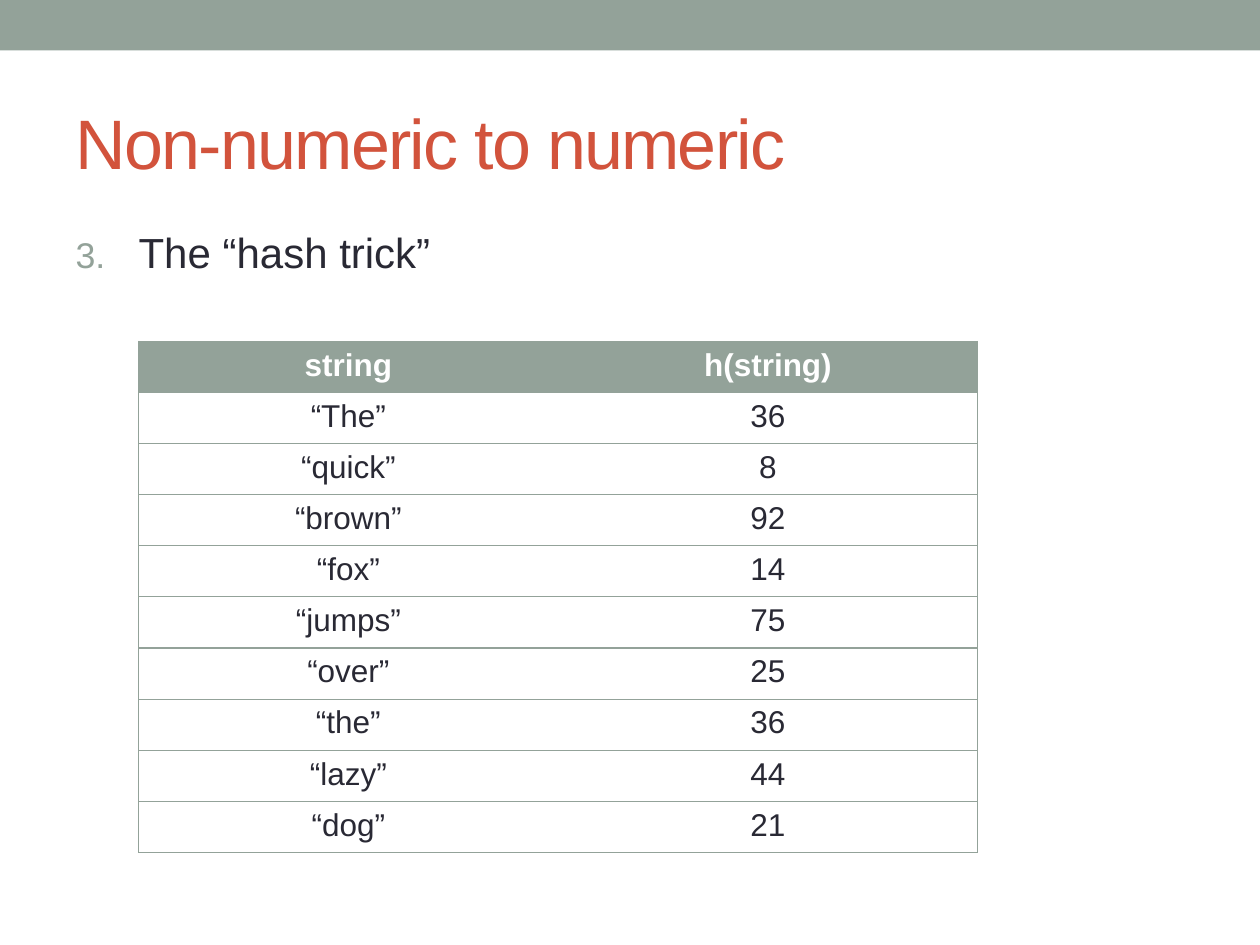
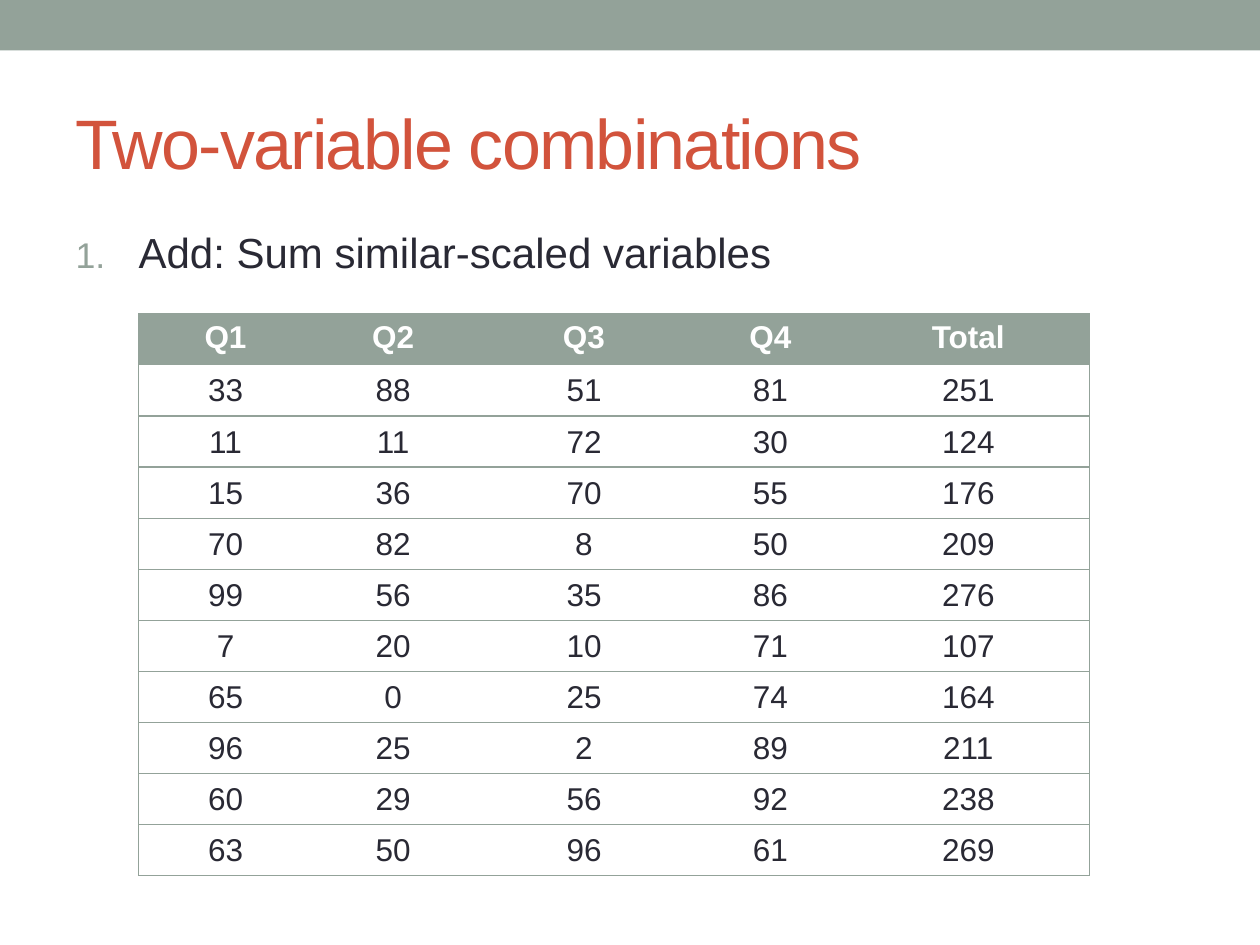
from dataclasses import dataclass

from lxml import etree
from pptx import Presentation
from pptx import util as u
from pptx.dml.color import RGBColor
from pptx.enum import shapes, text
from pptx.oxml import ns

COLORS = {"sage": "93A299", "rust": "D2533C", "ink": "292934", "white": "FFFFFF"}
FONT = "Arial"
NO_STYLE = "{2D5ABB26-0587-4C30-8999-92F81FD0307C}"
WIDTH, HEIGHT = u.Inches(10), u.Inches(7.5)
COLUMN, ROW = WIDTH / 10, HEIGHT / 7.5
TABLE_LEFT = 1.1
LINE_HEIGHT = u.Pt(29.2)
BORDER = u.Pt(0.75)


@dataclass(frozen=True)
class Box:
    left: float
    top: float
    width: float
    height: float

    def emu(self) -> tuple[int, ...]:
        return (round(self.left * COLUMN), round(self.top * ROW),
                round(self.width * COLUMN), round(self.height * ROW))


@dataclass(frozen=True)
class TableSlide:
    title: str
    number: int
    point: str
    top: float
    widths: tuple[float, ...]
    header: tuple[str, ...]
    rows: tuple[tuple, ...]
    tight: bool = False


BAND = Box(0, 0, 10, 0.4)
TITLE = Box(0.5, 0.58, 9, 1.08)
BODY = Box(0.5, 1.75, 9, 0.65)

SLIDES = (
    TableSlide(
        "Non-numeric to numeric", 3, "The “hash trick”", 2.71, (3.33, 3.33),
        ("string", "h(string)"),
        (("“The”", 36), ("“quick”", 8), ("“brown”", 92), ("“fox”", 14),
         ("“jumps”", 75), ("“over”", 25), ("“the”", 36), ("“lazy”", 44),
         ("“dog”", 21)),
    ),
    TableSlide(
        "Two-variable combinations", 1, "Add: Sum similar-scaled variables",
        2.49, (1.38, 1.28, 1.75, 1.21, 1.93),
        ("Q1", "Q2", "Q3", "Q4", "Total"),
        ((33, 88, 51, 81, 251), (11, 11, 72, 30, 124), (15, 36, 70, 55, 176),
         (70, 82, 8, 50, 209), (99, 56, 35, 86, 276), (7, 20, 10, 71, 107),
         (65, 0, 25, 74, 164), (96, 25, 2, 89, 211), (60, 29, 56, 92, 238),
         (63, 50, 96, 61, 269)),
        tight=True,
    ),
)


def rgb(name: str) -> RGBColor:
    return RGBColor.from_string(COLORS[name])


def add_run(p, words: str, size: float, color: str, bold: bool = False):
    r = p.add_run()
    r.text = words
    r.font.name, r.font.size, r.font.bold = FONT, u.Pt(size), bold
    r.font.color.rgb = rgb(color)
    return r


def place(sp, box: Box) -> None:
    sp.left, sp.top, sp.width, sp.height = box.emu()


def style_layout(layout, slide) -> None:
    band = slide.shapes.add_shape(shapes.MSO_SHAPE.RECTANGLE, *BAND.emu())
    band.shadow.inherit = False
    band.fill.solid()
    band.fill.fore_color.rgb = rgb("sage")
    band.line.fill.background()
    layout.shapes.element.insert(2, band.element)
    for sp, box in zip(layout.placeholders, (TITLE, BODY)):
        place(sp, box)


def add_title(slide, words: str) -> None:
    sp = slide.shapes.title
    place(sp, TITLE)
    tf = sp.text_frame
    tf.auto_size = text.MSO_AUTO_SIZE.NONE
    tf.vertical_anchor = text.MSO_ANCHOR.MIDDLE
    p = tf.paragraphs[0]
    p.alignment = text.PP_ALIGN.LEFT
    r = add_run(p, words, 40, "rust")
    r.font._element.set("spc", "-100")


def add_numbered_point(slide, number: int, words: str) -> None:
    sp = slide.placeholders[1]
    place(sp, BODY)
    tf = sp.text_frame
    tf.auto_size = text.MSO_AUTO_SIZE.NONE
    p = tf.paragraphs[0]
    add_run(p, words, 24, "ink")
    pPr = p._p.get_or_add_pPr()
    pPr.set("marL", str(u.Inches(0.5)))
    pPr.set("indent", str(-u.Inches(0.5)))
    before = etree.SubElement(pPr, ns.qn("a:spcBef"))
    etree.SubElement(before, ns.qn("a:spcPct"), val="20000")
    color = etree.SubElement(pPr, ns.qn("a:buClr"))
    etree.SubElement(color, ns.qn("a:srgbClr"), val=COLORS["sage"])
    etree.SubElement(pPr, ns.qn("a:buSzPct"), val="85000")
    etree.SubElement(pPr, ns.qn("a:buFont"), typeface="+mj-lt")
    etree.SubElement(pPr, ns.qn("a:buAutoNum"), type="arabicPeriod",
                     startAt=str(number))


def add_borders(cell, sides: str) -> None:
    tcPr = cell._tc.get_or_add_tcPr()
    for i, side in enumerate(sides):
        ln = etree.Element(ns.qn(f"a:ln{side}"), w=str(BORDER))
        fill = etree.SubElement(ln, ns.qn("a:solidFill"))
        etree.SubElement(fill, ns.qn("a:srgbClr"), val=COLORS["sage"])
        tcPr.insert(i, ln)


def fill_cell(cell, value, is_header: bool, tight: bool) -> None:
    if is_header:
        cell.fill.solid()
        cell.fill.fore_color.rgb = rgb("sage")
    else:
        cell.fill.background()
        if tight:
            cell.vertical_anchor = text.MSO_ANCHOR.MIDDLE
            cell.margin_left = cell.margin_right = cell.margin_top = u.Inches(0.01)
            cell.margin_bottom = 0
    p = cell.text_frame.paragraphs[0]
    p.alignment = text.PP_ALIGN.CENTER
    add_run(p, str(value), 18, "white" if is_header else "ink", is_header)


def add_data_table(slide, data: TableSlide) -> None:
    lines = (data.header, *data.rows)
    box = Box(TABLE_LEFT, data.top, sum(data.widths), len(lines) * LINE_HEIGHT / ROW)
    frame = slide.shapes.add_table(len(lines), len(data.widths), *box.emu())
    for style in frame.element.iter(ns.qn("a:tableStyleId")):
        style.text = NO_STYLE
    table = frame.table
    table.horz_banding = False
    for column, width in zip(table.columns, data.widths):
        column.width = round(width * COLUMN)
    last = len(data.widths) - 1
    for i, line in enumerate(lines):
        table.rows[i].height = LINE_HEIGHT
        for j, value in enumerate(line):
            cell = table.cell(i, j)
            fill_cell(cell, value, i == 0, data.tight)
            add_borders(cell, "L" * (j == 0) + "R" * (j == last) + "TB")


def main() -> None:
    prs = Presentation()
    prs.slide_width, prs.slide_height = WIDTH, HEIGHT
    layout = prs.slide_layouts[1]
    for i, data in enumerate(SLIDES):
        slide = prs.slides.add_slide(layout)
        if i == 0:
            style_layout(layout, slide)
        add_title(slide, data.title)
        add_numbered_point(slide, data.number, data.point)
        add_data_table(slide, data)
    prs.save("out.pptx")


if __name__ == "__main__":
    main()
